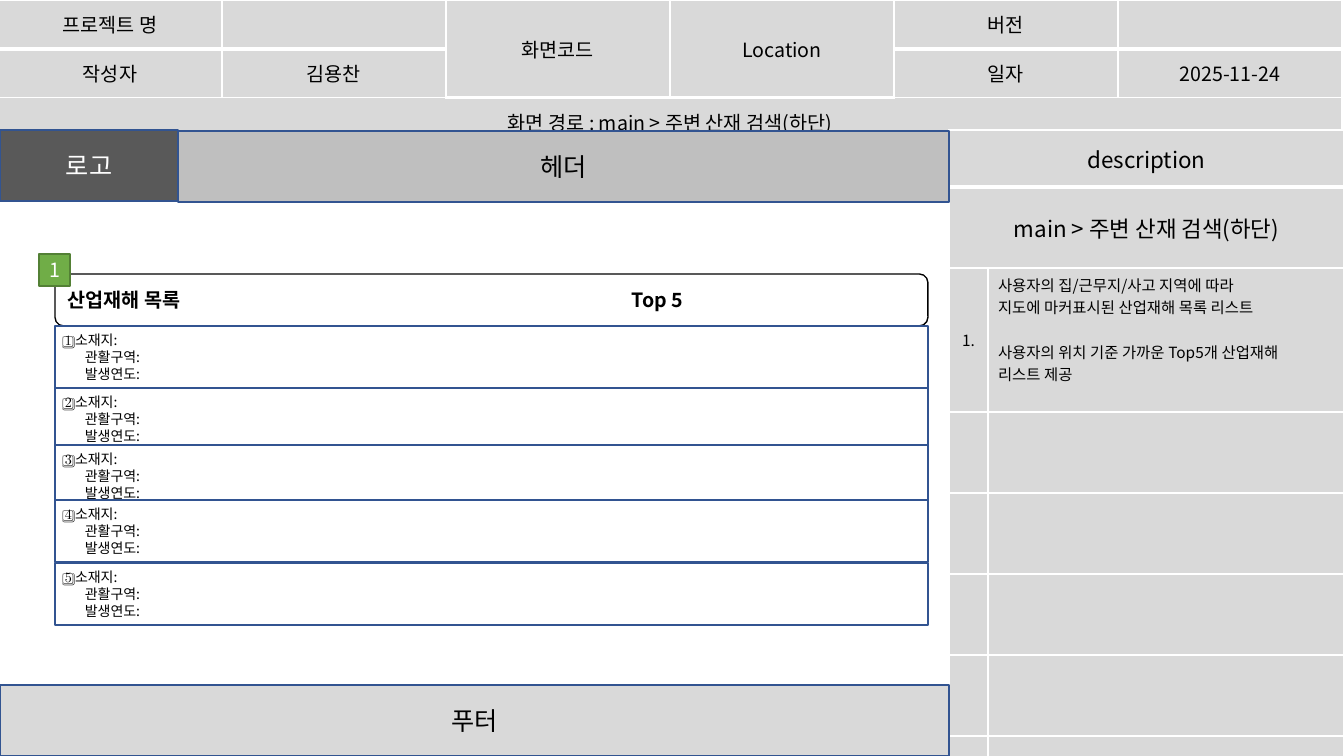
from dataclasses import dataclass

from lxml import etree
from pptx import Presentation
from pptx.dml.color import RGBColor
from pptx.enum.shapes import MSO_SHAPE
from pptx.enum.text import MSO_ANCHOR, PP_ALIGN
from pptx.oxml.ns import qn
from pptx.util import Inches, Pt

RECT, ROUND = MSO_SHAPE.RECTANGLE, MSO_SHAPE.ROUNDED_RECTANGLE
LEFT, MID = PP_ALIGN.LEFT, PP_ALIGN.CENTER
TOP, CORE = MSO_ANCHOR.TOP, MSO_ANCHOR.MIDDLE
SCALE = Inches(7.5) / 756


@dataclass(frozen=True)
class Theme:
    face: str = "Noto Sans CJK KR"
    black: str = "000000"
    white: str = "FFFFFF"
    pale: str = "D9D9D9"
    gray: str = "BFBFBF"
    dark: str = "595959"
    blue: str = "325491"
    green: str = "70AD47"
    moss: str = "538035"
    bar: int = 18
    head: int = 16
    base: int = 14
    note: int = 11
    item: int = 10


THEME = Theme()


def px(num):
    return round(num * SCALE)


def apply(obj, form):
    for key, val in form.items():
        setattr(obj, key, val)


def write(frame, lines, size, color=THEME.black, bold=False, **form):
    for pos, line in enumerate(lines):
        para = frame.paragraphs[0] if pos == 0 else frame.add_paragraph()
        apply(para, form)
        run = para.add_run()
        run.text = line
        apply(run.font, {"size": Pt(size), "bold": bold, "name": THEME.face})
        run.font.color.rgb = RGBColor.from_string(color)
        east = etree.SubElement(run.font._element, qn("a:ea"))
        east.set("typeface", THEME.face)


def box(slide, area, fill, line, kind=RECT):
    shape = slide.shapes.add_shape(kind, *map(px, area))
    shape.shadow.inherit = False
    shape.fill.solid()
    shape.fill.fore_color.rgb = RGBColor.from_string(fill)
    shape.line.color.rgb = RGBColor.from_string(line)
    shape.line.width = Pt(1)
    apply(shape.text_frame, {"word_wrap": True, "vertical_anchor": CORE})
    return shape.text_frame


def label(slide, area, text, fill, line, size, color):
    write(box(slide, area, fill, line), [text], size, color, alignment=MID)


def grid(slide, left, top, cols, rows, spans):
    area = map(px, (left, top, sum(cols), sum(rows)))
    table = slide.shapes.add_table(len(rows), len(cols), *area).table
    apply(table, {"first_row": False, "horz_banding": False})
    for col, width in zip(table.columns, cols):
        col.width = px(width)
    for row, height in zip(table.rows, rows):
        row.height = px(height)
    for start, end in spans:
        table.cell(*start).merge(table.cell(*end))
    for num, row in enumerate(table.rows):
        for cell in row.cells:
            edge(cell, 3 if num == 0 else 1)
            cell.fill.solid()
            cell.fill.fore_color.rgb = RGBColor.from_string(THEME.pale)
    return table


def edge(cell, base):
    props = cell._tc.get_or_add_tcPr()
    for side in "LRTB":
        width = base if side == "B" else 1
        line = etree.SubElement(props, qn(f"a:ln{side}"), w=str(Pt(width)))
        fill = etree.SubElement(line, qn("a:solidFill"))
        etree.SubElement(fill, qn("a:srgbClr"), val=THEME.white)


def add_meta(slide):
    spans = [((0, 2), (1, 2)), ((0, 3), (1, 3)), ((2, 0), (2, 5))]
    table = grid(slide, -2, 0, [224] * 6, [48] * 3, spans)
    rows = [
        ["프로젝트 명", "", "화면코드", "Location", "버전", ""],
        ["작성자", "김용찬", "", "", "일자", "2025-11-24"],
        ["화면 경로 : main > 주변 산재 검색(하단)"],
    ]
    inset = Inches(0.1)
    form = {"margin_top": inset, "margin_bottom": inset}
    for row, texts in enumerate(rows):
        for col, text in enumerate(texts):
            if text:
                cell = table.cell(row, col)
                anchor = CORE if cell.is_merge_origin and row == 0 else TOP
                apply(cell, {**form, "vertical_anchor": anchor})
                write(cell.text_frame, [text], THEME.base, alignment=MID)


def add_side(slide):
    spans = [((row, 0), (row, 1)) for row in range(2)]
    rows = [57, 81, 144] + [81] * 5
    table = grid(slide, 949, 130, [39, 356], rows, spans)
    heads = [
        ("description", THEME.head),
        ("main > 주변 산재 검색(하단)", THEME.head),
        ("1.", THEME.note),
    ]
    for row, (text, size) in enumerate(heads):
        cell = table.cell(row, 0)
        cell.vertical_anchor = CORE
        write(cell.text_frame, [text], size, alignment=MID)
    notes = [
        "사용자의 집/근무지/사고 지역에 따라",
        "지도에 마커표시된 산업재해 목록 리스트",
        "사용자의 위치 기준 가까운 Top5개 산업재해 리스트 제공",
    ]
    cell = table.cell(2, 1)
    cell.margin_right = px(24)
    frame = cell.text_frame
    write(frame, notes, THEME.note, alignment=LEFT)
    frame.paragraphs[2].space_before = Pt(16)


def add_list(slide):
    frame = box(slide, (55, 274, 873, 52), THEME.white, THEME.black, ROUND)
    props = frame.paragraphs[0]._p.get_or_add_pPr()
    tabs = etree.SubElement(props, qn("a:tabLst"))
    etree.SubElement(tabs, qn("a:tab"), pos=str(px(564)), algn="l")
    write(frame, ["산업재해 목록\tTop 5"], THEME.base, bold=True, alignment=LEFT)
    for num, top in enumerate((326, 388, 445, 500, 563), 1):
        frame = box(slide, (55, top, 873, 62), THEME.white, THEME.blue)
        lines = [f"{num}️⃣ 소재지:", "관활구역:", "발생연도:"]
        write(frame, lines, THEME.item, alignment=LEFT)
        for para in frame.paragraphs[1:]:
            para._p.get_or_add_pPr().set("marL", str(px(20)))


def main():
    deck = Presentation()
    apply(deck, {"slide_width": px(1344), "slide_height": px(756)})
    slide = deck.slides.add_slide(deck.slide_layouts[6])
    add_meta(slide)
    add_side(slide)
    bars = [
        ((178, 131, 771, 71), "헤더", THEME.gray, THEME.black),
        ((0, 130, 178, 71), "로고", THEME.dark, THEME.white),
        ((0, 685, 949, 71), "푸터", THEME.pale, THEME.black),
    ]
    for area, text, fill, color in bars:
        label(slide, area, text, fill, THEME.blue, THEME.bar, color)
    add_list(slide)
    label(slide, (39, 254, 31, 32), "1", THEME.green, THEME.moss,
          THEME.base, THEME.white)
    deck.save("out.pptx")


if __name__ == "__main__":
    main()
